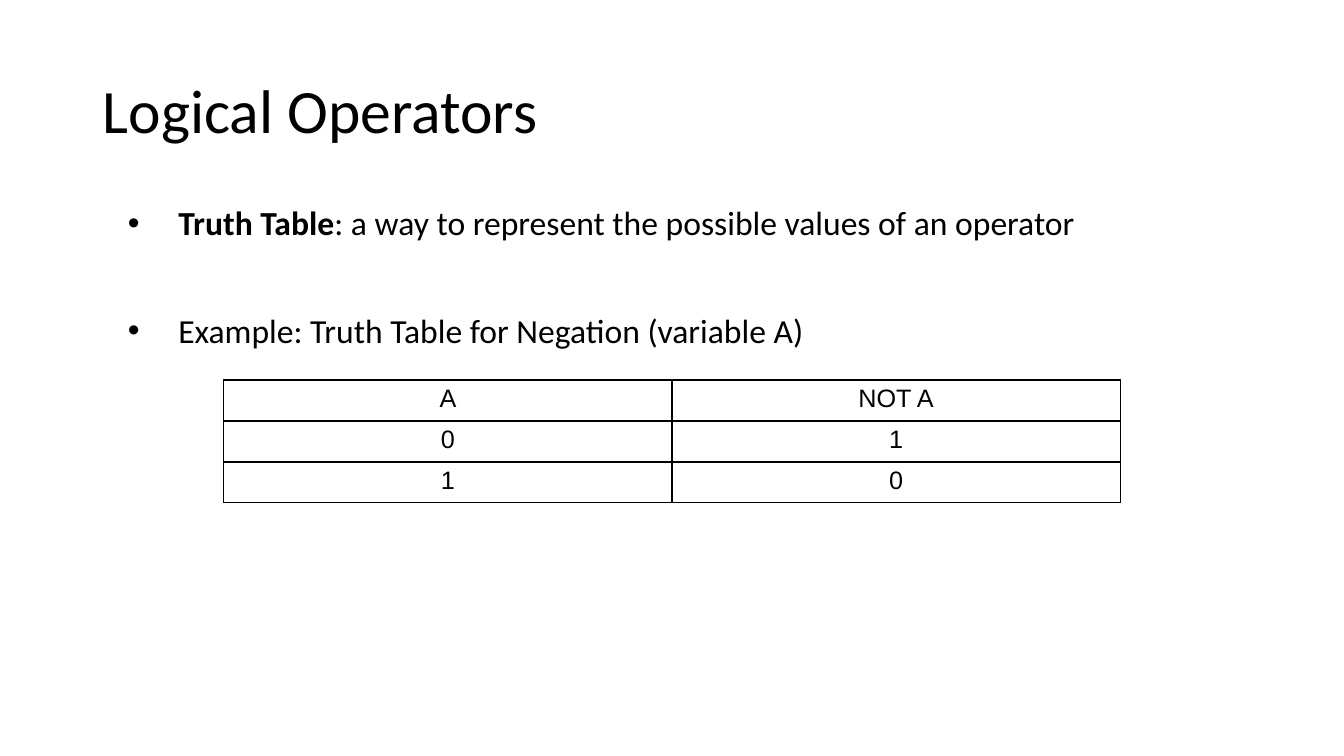
from pptx import Presentation
from pptx.dml.color import RGBColor
from pptx.enum.text import MSO_ANCHOR as Anchor, PP_ALIGN as Align
from pptx.oxml.ns import qn
from pptx.util import Inches, Pt
from lxml.etree import SubElement as Sub

BLACK = RGBColor(0, 0, 0)
WHITE = RGBColor(255, 255, 255)

POINTS = [
    [("Truth Table", True),
     (": a way to represent the possible values of an operator", False)],
    [("Example: Truth Table for Negation (variable A)", False)],
]
TRUTH = [("A", "NOT A"), ("0", "1"), ("1", "0")]


def write(para, text, size=24, font="Calibri", bold=False, align=Align.LEFT):
    para.alignment = align
    run = para.add_run()
    run.text = text
    run.font.size = Pt(size)
    run.font.name = font
    run.font.bold = bold
    run.font.color.rgb = BLACK


def place(shape, left, top, width, height):
    shape.left, shape.top = Inches(left), Inches(top)
    shape.width, shape.height = Inches(width), Inches(height)


def add_title(slide, text):
    title = slide.shapes.title
    place(title, 0.92, 0.4, 11.5, 1.45)
    frame = title.text_frame
    frame.word_wrap = True
    frame.vertical_anchor = Anchor.MIDDLE
    para = frame.paragraphs[0]
    para.line_spacing = 0.9
    write(para, text, size=44)


def set_bullet(para):
    props = para._p.get_or_add_pPr()
    props.set("marL", str(Inches(0.75)))
    props.set("indent", str(Inches(-0.5)))
    Sub(props, qn("a:buFont"), typeface="Arial")
    Sub(props, qn("a:buChar"), char="•")


def add_list(slide, points):
    box = slide.shapes.add_textbox(
        Inches(0.92), Inches(2), Inches(11.5), Inches(4.76))
    frame = box.text_frame
    frame.word_wrap = True
    for i, parts in enumerate(points):
        para = frame.add_paragraph() if i else frame.paragraphs[0]
        para.line_spacing = 0.9
        para.space_before = Pt(51 if i else 10)
        set_bullet(para)
        for text, bold in parts:
            write(para, text, bold=bold)


def set_border(cell):
    props = cell._tc.get_or_add_tcPr()
    for side in ("lnL", "lnR", "lnT", "lnB"):
        line = Sub(props, qn("a:" + side), w=str(Pt(1)))
        fill = Sub(line, qn("a:solidFill"))
        Sub(fill, qn("a:srgbClr"), val=str(BLACK))


def add_grid(slide, rows):
    grid = slide.shapes.add_table(
        len(rows), len(rows[0]),
        Inches(2.22), Inches(3.77), Inches(8.89), Inches(1.22)).table
    for r, row in enumerate(rows):
        for c, text in enumerate(row):
            cell = grid.cell(r, c)
            # Borders must precede the fill in the cell properties
            set_border(cell)
            cell.fill.solid()
            cell.fill.fore_color.rgb = WHITE
            write(cell.text_frame.paragraphs[0], text,
                  size=18, font="Arial", align=Align.CENTER)


def main():
    deck = Presentation()
    deck.slide_width, deck.slide_height = Inches(13.33), Inches(7.5)
    slide = deck.slides.add_slide(deck.slide_layouts[5])

    # Heading, bullets and truth table
    add_title(slide, "Logical Operators")
    add_list(slide, POINTS)
    add_grid(slide, TRUTH)

    deck.save("out.pptx")


main()
